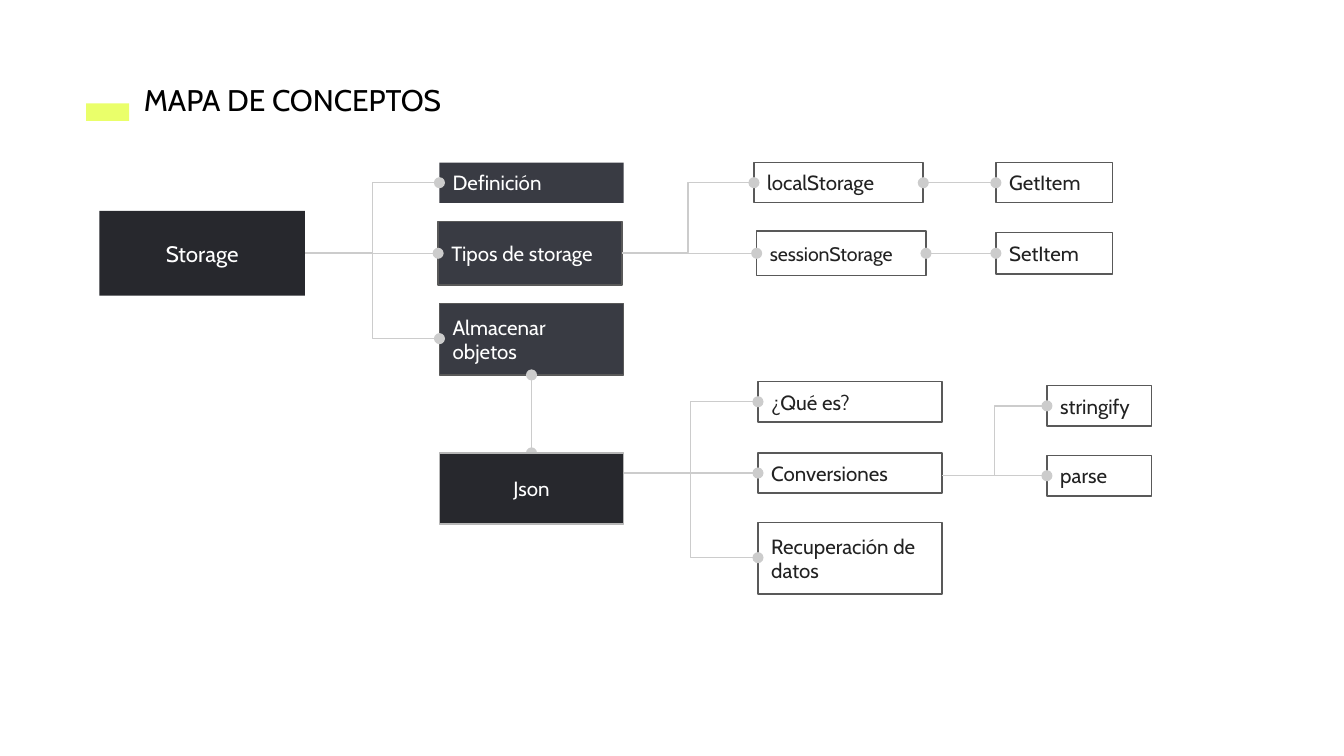
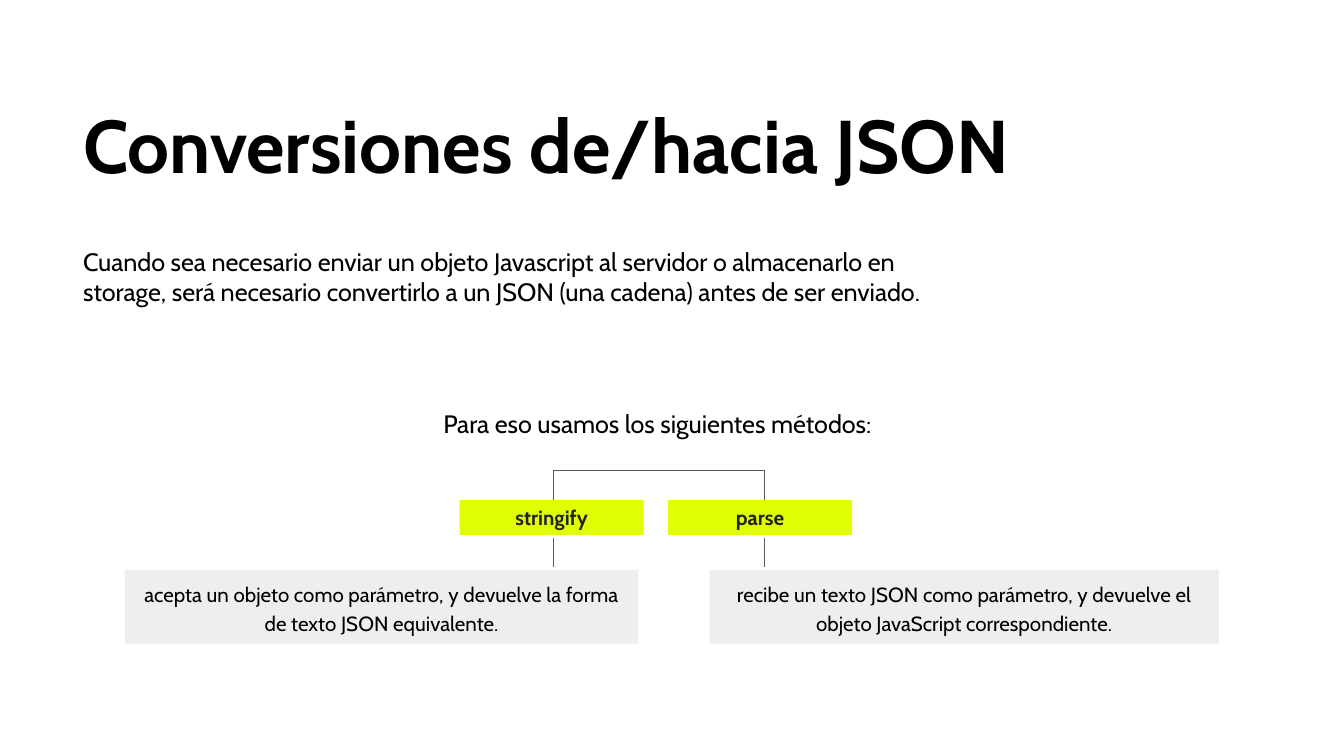
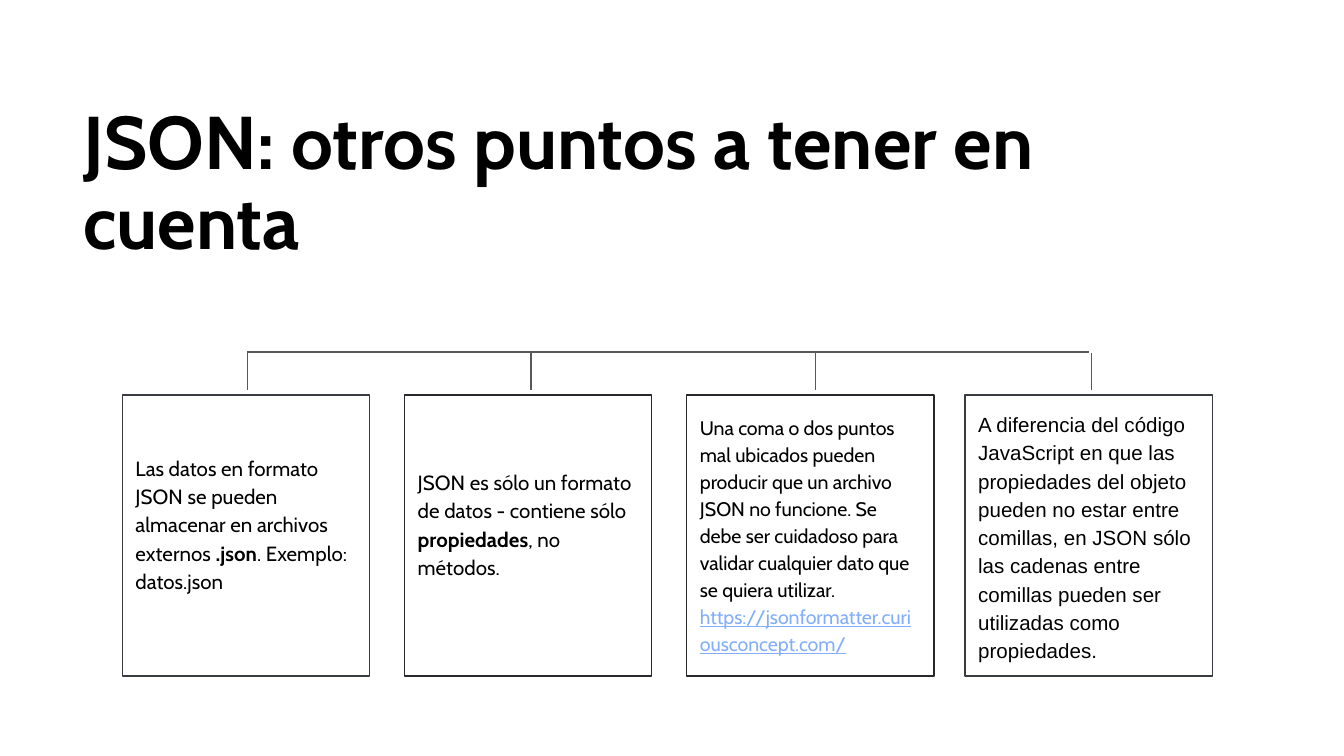
from typing import NamedTuple, Sequence

from lxml import etree
from pptx import Presentation
from pptx.dml.color import RGBColor
from pptx.enum.shapes import MSO_CONNECTOR, MSO_SHAPE
from pptx.enum.text import MSO_ANCHOR, MSO_AUTO_SIZE, PP_ALIGN
from pptx.oxml.ns import qn
from pptx.shapes.autoshape import Shape
from pptx.shapes.connector import Connector
from pptx.slide import Slide
from pptx.util import Emu, Pt

PX = 9144
RECT = MSO_SHAPE.RECTANGLE
LINE = MSO_CONNECTOR.STRAIGHT
BENT = MSO_CONNECTOR.ELBOW
LEFT, MID = PP_ALIGN.LEFT, PP_ALIGN.CENTER
TOP, HALF = MSO_ANCHOR.TOP, MSO_ANCHOR.MIDDLE
FIXED = MSO_AUTO_SIZE.NONE
FONT = "Cabin"
PAD = 10

INK = {
    "black": "000000",
    "white": "FFFFFF",
    "text": "222222",
    "dark": "27282D",
    "slate": "393B43",
    "edge": "595959",
    "wire": "CCCCCC",
    "silver": "B7B7B7",
    "pale": "EEEEEE",
    "lemon": "EAFF6A",
    "lime": "E0FF00",
    "blue": "83AEFB",
}


class Area(NamedTuple):
    x: int
    y: int
    w: int
    h: int


class Run(NamedTuple):
    text: str
    bold: bool = False
    ink: str = ""
    under: bool = False


class Look(NamedTuple):
    fill: str
    edge: str
    ink: str
    align: PP_ALIGN = LEFT


class Node(NamedTuple):
    text: str
    area: Area
    look: Look
    size: float = 11


class Link(NamedTuple):
    start: str
    end: str
    bent: bool = False
    head: bool = False
    y: int = 0


class Method(NamedTuple):
    name: str
    x: int
    stem: int
    note: str
    left: int
    width: int


class Card(NamedTuple):
    x: int
    stem: int
    edge: str
    runs: Sequence[Run]
    size: float = 11
    font: str = FONT
    foot: int = PAD


ROOT = Look("dark", "", "white", MID)
SUB = Look("dark", "silver", "white", MID)
HEAD = Look("slate", "", "white")
TOPIC = Look("slate", "edge", "white")
LEAF = Look("white", "edge", "text")

NODES = [
    Node("Storage", Area(74, 157, 153, 63), ROOT, 12),
    Node("Definición", Area(327, 121, 137, 30), HEAD),
    Node("Tipos de storage", Area(326, 165, 137, 47), TOPIC),
    Node("Almacenar objetos", Area(327, 226, 137, 53), TOPIC),
    Node("localStorage", Area(561, 121, 126, 30), LEAF),
    Node("sessionStorage", Area(563, 172, 126, 33), LEAF, 10.5),
    Node("GetItem", Area(741, 121, 87, 30), LEAF),
    Node("SetItem", Area(741, 173, 87, 31), LEAF),
    Node("¿Qué es?", Area(564, 284, 137, 30), LEAF),
    Node("Conversiones", Area(564, 337, 137, 30), LEAF),
    Node("Recuperación de datos", Area(564, 389, 137, 53), LEAF),
    Node("stringify", Area(779, 287, 78, 30), LEAF),
    Node("parse", Area(779, 339, 78, 30), LEAF),
]
JSON = Node("Json", Area(327, 337, 137, 53), SUB)

LINKS = [
    Link("Storage", "Definición", bent=True),
    Link("Storage", "Tipos de storage"),
    Link("Storage", "Almacenar objetos", bent=True),
    Link("Tipos de storage", "localStorage", bent=True),
    Link("Tipos de storage", "sessionStorage"),
    Link("localStorage", "GetItem", head=True),
    Link("sessionStorage", "SetItem", head=True),
    Link("Json", "¿Qué es?", bent=True, y=352),
    Link("Json", "Conversiones", y=352),
    Link("Json", "Recuperación de datos", bent=True, y=352),
    Link("Conversiones", "stringify", bent=True, y=354),
    Link("Conversiones", "parse", y=354),
]

METHODS = [
    Method("stringify", 342, 412,
           "acepta un objeto como parámetro, y devuelve la forma "
           "de texto JSON equivalente.", 93, 382),
    Method("parse", 497, 569,
           "recibe un texto JSON como parámetro, y devuelve el "
           "objeto JavaScript correspondiente.", 528, 379),
]

CARDS = [
    Card(91, 184, "slate", [
        Run("Las datos en formato JSON se pueden almacenar en archivos externos "),
        Run(".json", bold=True),
        Run(". Exemplo: datos.json"),
    ], foot=29),
    Card(301, 395, "dark", [
        Run("JSON es sólo un formato de datos - contiene sólo "),
        Run("propiedades", bold=True),
        Run(", no métodos."),
    ], foot=29),
    Card(511, 607, "dark", [
        Run("Una coma o dos puntos mal ubicados pueden producir que un archivo "
            "JSON no funcione. Se debe ser cuidadoso para validar cualquier "
            "dato que se quiera utilizar. "),
        Run("https://jsonformatter.curiousconcept.com/", ink="blue", under=True),
    ], size=10.5, foot=12),
    Card(718, 812, "slate", [
        Run("A diferencia del código JavaScript en que las propiedades del "
            "objeto pueden no estar entre comillas, en JSON sólo las cadenas "
            "entre comillas pueden ser utilizadas como propiedades."),
    ], font="Arial"),
]


def px(size: int) -> Emu:
    return Emu(size * PX)


def tint(name: str) -> RGBColor:
    return RGBColor.from_string(INK[name])


def write(shape: Shape, text: str | Sequence[Run], *, size: float = 11,
          ink: str = "black", bold: bool = False, font: str = FONT,
          align: PP_ALIGN = LEFT, anchor: MSO_ANCHOR = HALF,
          space: float = 1, foot: int = PAD) -> None:
    frame = shape.text_frame
    frame.auto_size = FIXED
    frame.word_wrap = True
    frame.vertical_anchor = anchor
    frame.margin_left = frame.margin_right = frame.margin_top = px(PAD)
    frame.margin_bottom = px(foot)
    para = frame.paragraphs[0]
    para.alignment = align
    para.line_spacing = space
    para.space_before = Pt(0)
    for part in [Run(text)] if isinstance(text, str) else text:
        run = para.add_run()
        run.text = part.text
        face = run.font
        face.name = font
        face.size = Pt(size)
        face.bold = bold or part.bold
        face.underline = part.under
        face.color.rgb = tint(part.ink or ink)


def box(slide: Slide, area: Area, fill: str, edge: str = "") -> Shape:
    shape = slide.shapes.add_shape(RECT, *map(px, area))
    shape.shadow.inherit = False
    shape.fill.solid()
    shape.fill.fore_color.rgb = tint(fill)
    if edge:
        shape.line.color.rgb = tint(edge)
        shape.line.width = Pt(0.75)
    else:
        shape.line.fill.background()
    return shape


def note(slide: Slide, area: Area, text: str) -> None:
    shape = slide.shapes.add_textbox(*map(px, area))
    write(shape, text, size=13.5, anchor=TOP)


def wire(slide: Slide, start: tuple[int, int], end: tuple[int, int], *,
         ink: str = "edge", bent: bool = False, head: bool = False,
         tail: bool = False) -> Connector:
    line = slide.shapes.add_connector(
        BENT if bent else LINE, *map(px, start + end))
    line.line.color.rgb = tint(ink)
    line.line.width = Pt(0.75)
    props = line.element.spPr
    stroke = props.find(qn("a:ln"))
    for tag, used in (("a:headEnd", head), ("a:tailEnd", tail)):
        if used:
            etree.SubElement(stroke, qn(tag), type="oval")
    etree.SubElement(props, qn("a:effectLst"))
    return line


def page(deck: Presentation, text: str, area: Area, *, size: float = 40,
         bold: bool = True, space: float = 0.9) -> Slide:
    slide = deck.slides.add_slide(deck.slide_layouts[5])
    title = slide.shapes.title
    title.left, title.top, title.width, title.height = map(px, area)
    write(title, text, size=size, bold=bold, space=space, anchor=TOP)
    return slide


def draw(slide: Slide, node: Node) -> Shape:
    look = node.look
    shape = box(slide, node.area, look.fill, look.edge)
    write(shape, node.text, size=node.size, ink=look.ink, align=look.align)
    return shape


def join(slide: Slide, link: Link, areas: dict[str, Area],
         shapes: dict[str, Shape]) -> None:
    one, two = areas[link.start], areas[link.end]
    start = (one.x + one.w, link.y or one.y + one.h // 2)
    end = (two.x, two.y + two.h // 2)
    line = wire(slide, start, end, ink="wire", bent=link.bent,
                head=link.head, tail=True)
    if not link.bent:
        line.end_connect(shapes[link.end], 1)
        if not link.y:
            line.begin_connect(shapes[link.start], 3)


def map_page(deck: Presentation) -> None:
    slide = page(deck, "MAPA DE CONCEPTOS", Area(97, 51, 269, 47),
                 size=16, bold=False, space=1)
    box(slide, Area(64, 77, 32, 13), "lemon")
    areas = {node.text: node.area for node in [*NODES, JSON]}
    shapes = {node.text: draw(slide, node) for node in NODES}
    for link in LINKS:
        join(slide, link, areas, shapes)
    stem = wire(slide, (396, 337), (396, 279), ink="wire", head=True, tail=True)
    stem.end_connect(shapes["Almacenar objetos"], 2)
    stem.begin_connect(draw(slide, JSON), 0)


def method_page(deck: Presentation) -> None:
    slide = page(deck, "Conversiones de/hacia JSON", Area(52, 71, 890, 81))
    note(slide, Area(52, 173, 668, 88),
         "Cuando sea necesario enviar un objeto Javascript al servidor o "
         "almacenarlo en storage, será necesario convertirlo a un JSON "
         "(una cadena) antes de ser enviado.")
    note(slide, Area(320, 294, 397, 43), "Para eso usamos los siguientes métodos:")
    wire(slide, (METHODS[0].stem, 350), (METHODS[-1].stem, 350))
    for item in METHODS:
        for y in (350, 400):
            wire(slide, (item.stem, y + 22), (item.stem, y))
        label = box(slide, Area(item.x, 372, 137, 26), "lime")
        write(label, item.name, ink="text", bold=True, align=MID)
        panel = box(slide, Area(item.left, 424, item.width, 55), "pale")
        write(panel, item.note, align=MID, space=1.15)


def card_page(deck: Presentation) -> None:
    slide = page(deck, "JSON: otros puntos a tener en cuenta",
                 Area(52, 68, 890, 141))
    wire(slide, (CARDS[0].stem, 262), (CARDS[-1].stem - 2, 262))
    for card in CARDS:
        wire(slide, (card.stem, 290), (card.stem, 263))
        shape = box(slide, Area(card.x, 294, 184, 209), "white", card.edge)
        write(shape, card.runs, size=card.size, font=card.font,
              space=1.15, foot=card.foot)


def main() -> None:
    deck = Presentation()
    deck.slide_width = px(1000)
    deck.slide_height = Emu(deck.slide_width * 9 // 16)
    map_page(deck)
    method_page(deck)
    card_page(deck)
    deck.save("out.pptx")


if __name__ == "__main__":
    main()
